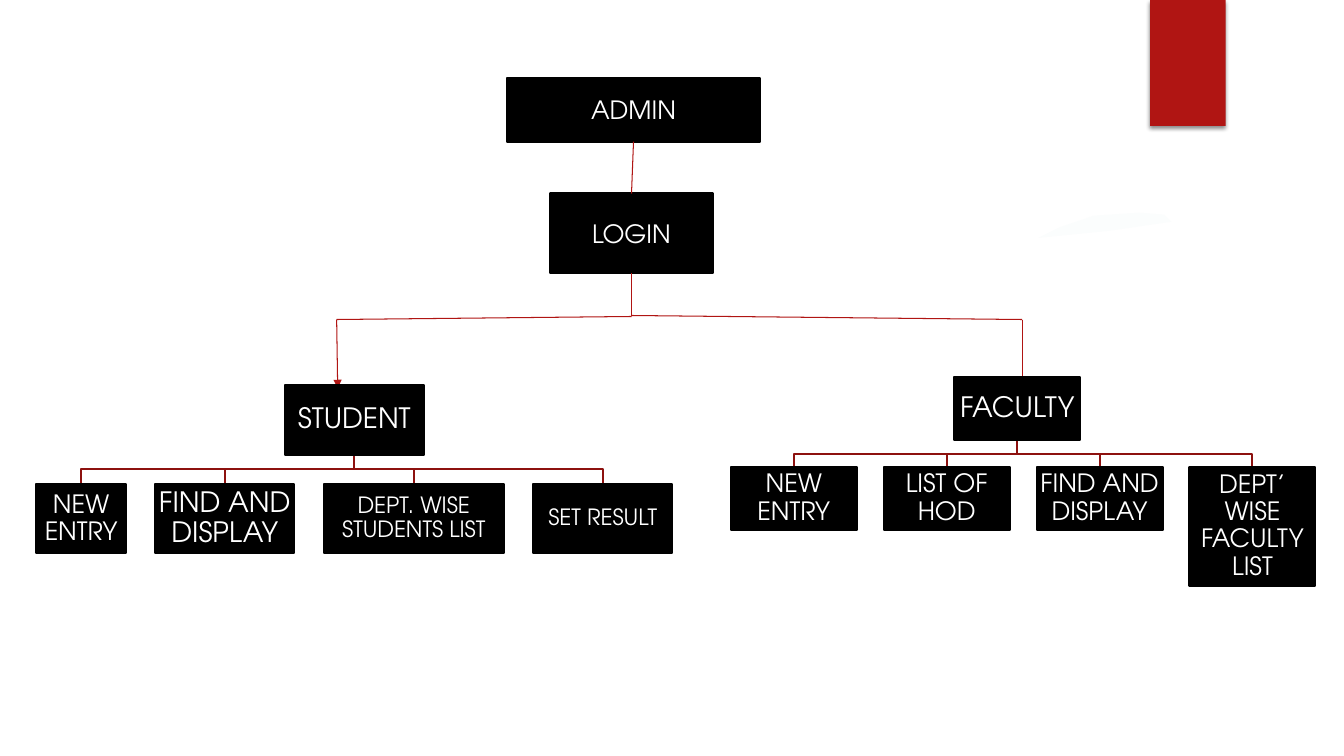
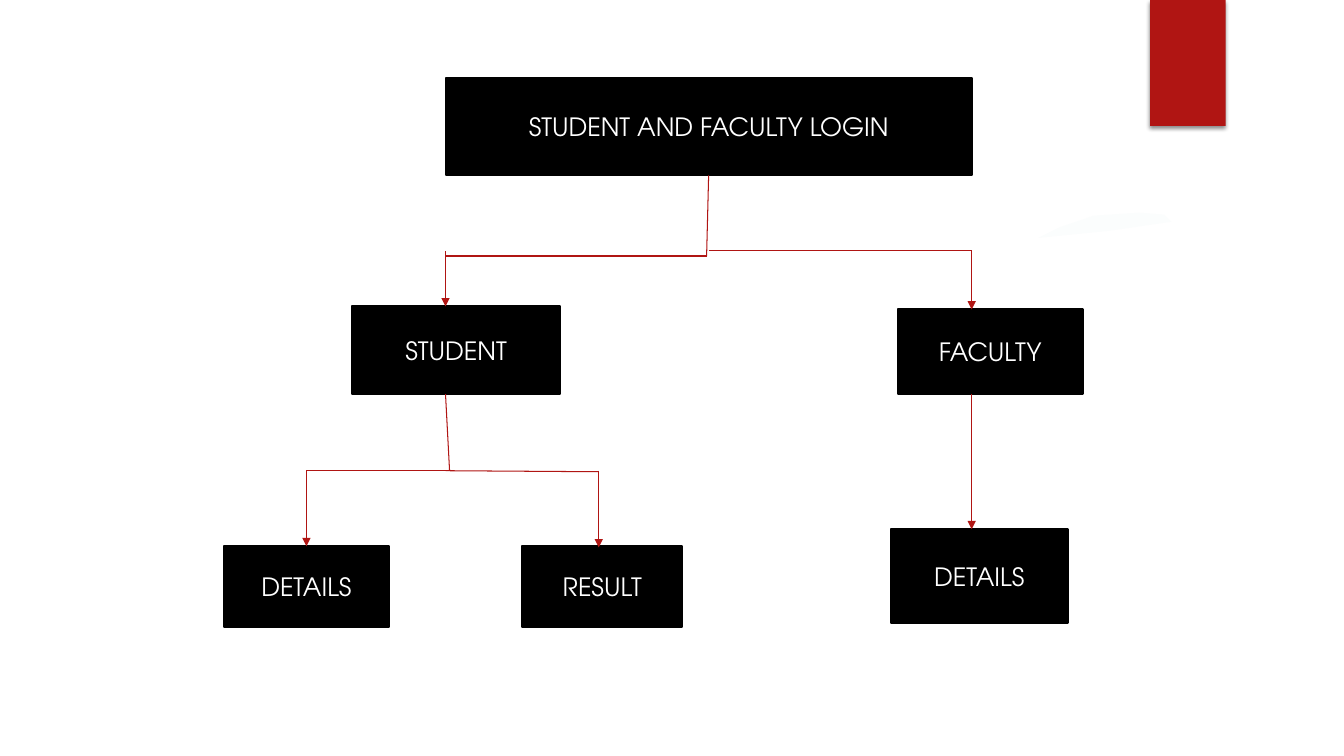
from dataclasses import dataclass

from lxml import etree
from pptx import Presentation, util as u
from pptx.dml.color import RGBColor
from pptx.enum import shapes, text
from pptx.oxml import ns

UNIT = u.Inches(0.1)
COLUMNS, ROWS = 133.33, 75
BLANK_LAYOUT = 6
TOP, BOTTOM = 0, 2


@dataclass(frozen=True)
class Theme:
    """Colours, font and sizes shared by both slides."""
    font: str = "TeX Gyre Adventor"
    box: str = "000000"
    label: str = "FFFFFF"
    accent: str = "B01513"
    branch: str = "8D110F"
    wisp: str = "FBFDFD"
    small: int = 16
    body: int = 18
    large: int = 20
    thin: float = 0.75
    thick: float = 1.5


@dataclass(frozen=True)
class Area:
    """A region of the slide, measured in grid columns and rows."""
    left: float
    top: float
    width: float
    height: float

    def point(self, column, row):
        """Turn a place inside the area into slide lengths."""
        return round((self.left + column) * UNIT), round((self.top + row) * UNIT)

    def frame(self, column, row, width, height):
        """Turn a box inside the area into slide lengths."""
        return *self.point(column, row), round(width * UNIT), round(height * UNIT)


THEME = Theme()
PAGE = Area(0, 0, COLUMNS, ROWS)


def colour(value):
    """Return a colour from its hexadecimal name."""
    return RGBColor.from_string(value)


def add_effects(properties):
    """Add an empty effect list, which removes the inherited shadow."""
    return etree.SubElement(properties, ns.qn("a:effectLst"))


def write(shape, words, size=THEME.body, inset=None, spacing=None):
    """Write a centred label in a shape."""
    frame = shape.text_frame
    frame.word_wrap = True
    frame.vertical_anchor = text.MSO_ANCHOR.MIDDLE
    if inset is not None:
        frame.margin_left = frame.margin_right = inset
        frame.margin_top = frame.margin_bottom = inset
    paragraph = frame.paragraphs[0]
    paragraph.alignment = text.PP_ALIGN.CENTER
    paragraph.line_spacing = spacing
    run = paragraph.add_run()
    run.text = words
    run.font.name = THEME.font
    run.font.size = u.Pt(size)
    run.font.color.rgb = colour(THEME.label)


def add_box(slide, area, words, place, **format):
    """Add a black labelled box at a place inside the area."""
    shape = slide.shapes.add_shape(shapes.MSO_SHAPE.RECTANGLE, *area.frame(*place))
    shape.shadow.inherit = False
    shape.fill.solid()
    shape.fill.fore_color.rgb = colour(THEME.box)
    shape.line.color.rgb = colour(THEME.box)
    shape.line.width = u.Pt(THEME.thick)
    write(shape, words, **format)
    return shape


def add_line(slide, area, start, end, arrow=False):
    """Draw a line between points, or from a box's bottom to a box's top."""
    ends = [area.point(*end_) if isinstance(end_, tuple) else (0, 0) for end_ in (start, end)]
    line = slide.shapes.add_connector(shapes.MSO_CONNECTOR.STRAIGHT, *ends[0], *ends[1])
    if not isinstance(start, tuple):
        line.begin_connect(start, BOTTOM)
    if not isinstance(end, tuple):
        line.end_connect(end, TOP)
    line.line.color.rgb = colour(THEME.accent)
    line.line.width = u.Pt(THEME.thin)
    if arrow:
        outline = line.element.spPr.find(ns.qn("a:ln"))
        etree.SubElement(outline, ns.qn("a:tailEnd"), type="triangle")
    add_effects(line.element.spPr)


def add_outline(slide, area, points, close):
    """Add a freeform through points inside the area."""
    first, *others = [area.point(*point) for point in points]
    builder = slide.shapes.build_freeform(*first)
    builder.add_line_segments(others, close=close)
    shape = builder.convert_to_shape()
    shape.shadow.inherit = False
    return shape


def add_background(slide, area):
    """Add the faint wisp and the red tab hanging from the top edge."""
    points = [(103, 23.6), (105, 22.6), (108.5, 21.4), (113, 21.1),
              (115.5, 21.3), (116.2, 22), (110, 22.9)]
    wisp = add_outline(slide, area, points, True)
    wisp.fill.solid()
    wisp.fill.fore_color.rgb = colour(THEME.wisp)
    wisp.line.fill.background()

    tab = slide.shapes.add_shape(shapes.MSO_SHAPE.RECTANGLE, *area.frame(114.1, 0, 7.5, 12.5))
    tab.fill.solid()
    tab.fill.fore_color.rgb = colour(THEME.accent)
    tab.line.fill.background()
    shadow = etree.SubElement(
        add_effects(tab.element.spPr), ns.qn("a:outerShdw"),
        blurRad=str(u.Pt(3)), dist=str(u.Pt(2)), dir="5400000", rotWithShape="0")
    tint = etree.SubElement(shadow, ns.qn("a:srgbClr"), val="000000")
    etree.SubElement(tint, ns.qn("a:alpha"), val="45000")


def add_tree(slide, area, root, children, gap, centre=0.5):
    """Hang evenly spaced child boxes below a root box."""
    words, root_width, root_height = root
    middle = area.width * centre
    child_top = root_height + gap
    space = (area.width - sum(child[1] for child in children)) / (len(children) - 1)
    places = []
    left = 0
    for _, width, height, _ in children:
        places.append((left, child_top, width, height))
        left += width + space
    for left, _, width, _ in places:
        child_middle = left + width / 2
        bend = root_height + gap / 2
        elbow = add_outline(slide, area, [
            (middle, root_height), (middle, bend),
            (child_middle, bend), (child_middle, child_top)], False)
        elbow.fill.background()
        elbow.line.color.rgb = colour(THEME.branch)
        elbow.line.width = u.Pt(THEME.thick)
    tight = {"inset": u.Inches(0.01), "spacing": 0.9}
    add_box(slide, area, words, (middle - root_width / 2, 0, root_width, root_height),
            size=THEME.large, **tight)
    for (label, _, _, size), place in zip(children, places):
        add_box(slide, area, label, place, size=size, **tight)


def add_admin_login(slide, area):
    """Draw the admin login and the lines that part below it."""
    admin = add_box(slide, area, "ADMIN", (16.9, 0, 25.1, 6.35))
    login = add_box(slide, area, "LOGIN", (21.2, 11.5, 16.1, 7.9))
    fork = (29.25, 23.7)
    student, faculty = (0, 24), (area.width, 24)
    add_line(slide, area, admin, login)
    add_line(slide, area, login, fork)
    add_line(slide, area, (29.25, 23.6), faculty)
    add_line(slide, area, fork, student)
    add_line(slide, area, faculty, (area.width, area.height), arrow=True)
    add_line(slide, area, student, (0.1, 30.8), arrow=True)


def add_user_login(slide, area):
    """Draw the student and faculty login with what each can open."""
    login = add_box(slide, area, "STUDENT AND FACULTY LOGIN", (22, 0, 52.2, 9.7))
    add_box(slide, area, "FACULTY", (66.9, 23, 18.3, 8.4))
    add_box(slide, area, "STUDENT", (12.7, 22.7, 20.7, 8.7))
    details = add_box(slide, area, "DETAILS", (0, 46.5, 16.4, 8))
    add_box(slide, area, "RESULT", (29.6, 46.5, 15.9, 8))
    add_box(slide, area, "DETAILS", (66.2, 44.8, 17.5, 9.3))

    fork, split = (47.9, 17.7), (22.4, 39)
    student, faculty = 22, 74.2
    result = 37.2
    for start, end in [
        (login, fork),
        ((48.1, 17.2), (faculty, 17.2)),
        (fork, (student, 17.7)),
        ((student, 31.4), split),
        ((student, 39), (result, 39.1)),
        (split, (8.2, 39)),
    ]:
        add_line(slide, area, start, end)
    for start, end in [
        ((faculty, 17.2), (faculty, 23)),
        ((student, 17.2), (student, 22.7)),
        ((result, 39), (result, 46.6)),
        ((8.2, 39), details),
        ((faculty, 31.4), (faculty, 44.8)),
    ]:
        add_line(slide, area, start, end, arrow=True)


def add_slide(presentation):
    """Add a blank slide with the shared background."""
    slide = presentation.slides.add_slide(presentation.slide_layouts[BLANK_LAYOUT])
    add_background(slide, PAGE)
    return slide


def main():
    """Build both slides and save them."""
    presentation = Presentation()
    presentation.slide_width = round(COLUMNS * UNIT)
    presentation.slide_height = ROWS * UNIT

    slide = add_slide(presentation)
    add_admin_login(slide, Area(33.4, 7.7, 68, 32.2))
    add_tree(slide, Area(3.6, 38.2, 63.1, 16.7), ("STUDENT", 13.8, 6.9), [
        ("NEW ENTRY", 8.9, 6.9, THEME.body),
        ("FIND AND DISPLAY", 13.8, 6.9, THEME.large),
        ("DEPT. WISE STUDENTS LIST", 17.9, 6.9, THEME.small),
        ("SET RESULT", 13.8, 6.9, THEME.small),
    ], gap=2.9)
    add_tree(slide, Area(72.5, 37.4, 58, 20.7), ("FACULTY", 12.5, 6.3), [
        ("NEW ENTRY", 12.5, 6.3, THEME.body),
        ("LIST OF HOD", 12.5, 6.3, THEME.body),
        ("FIND AND DISPLAY", 12.5, 6.3, THEME.body),
        ("DEPT’ WISE FACULTY LIST", 12.5, 11.8, THEME.body),
    ], gap=2.6, centre=0.49)

    add_user_login(add_slide(presentation), Area(22.2, 7.7, 85.2, 54.5))
    presentation.save("out.pptx")


if __name__ == "__main__":
    main()
